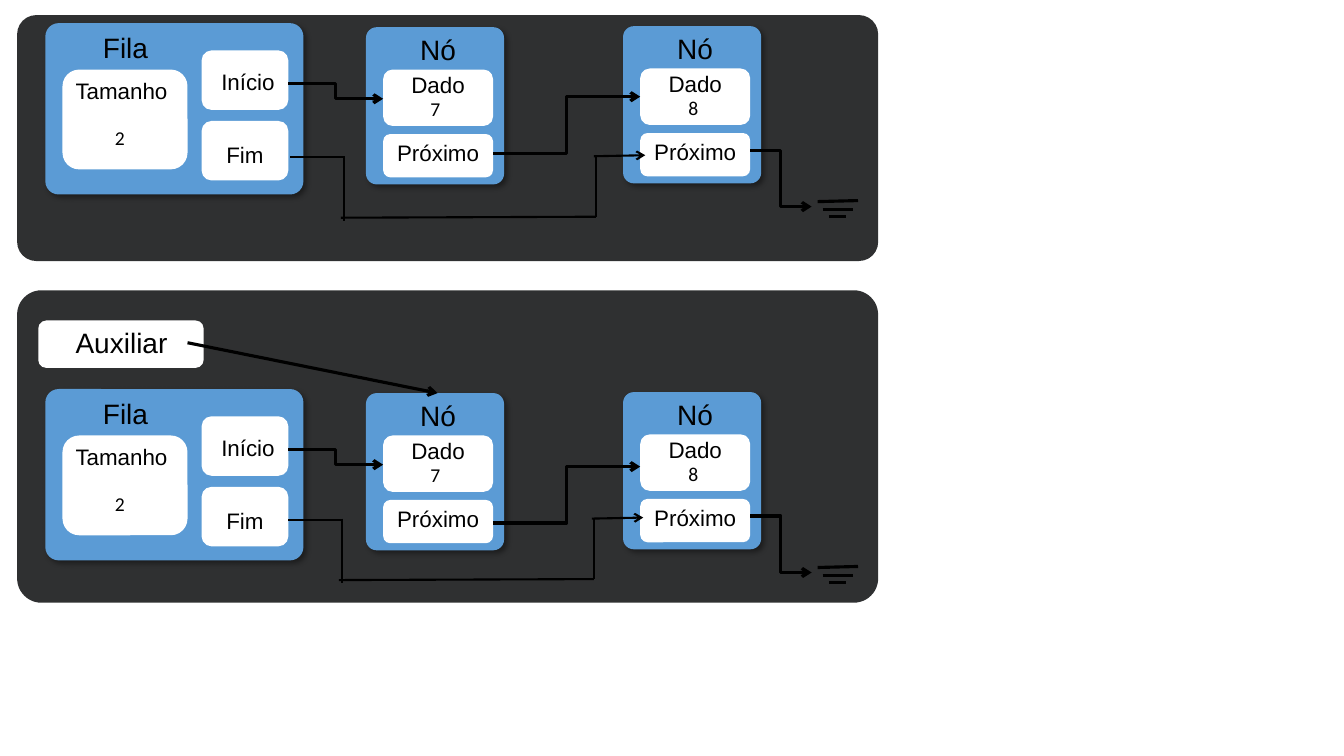
"""Build a slide showing a linked queue before and after an auxiliary pointer is set."""
from lxml import etree
from pptx import Presentation
from pptx import util as u
from pptx.dml.color import RGBColor
from pptx.enum import shapes, text
from pptx.oxml.ns import qn

COLUMNS, ROWS = 1333, 750
CELL = u.Inches(0.01)
DARK = RGBColor(0x2F, 0x30, 0x31)
BLUE = RGBColor(0x5B, 0x9B, 0xD5)
WHITE = RGBColor(0xFF, 0xFF, 0xFF)
BLACK = RGBColor(0, 0, 0)
SOFT_CORNER, ROUND_CORNER = 0.078, 0.16667
TITLE, LABEL, VALUE = ("Arial", 20), ("Arial", 16), ("Calibri", 14)

PANELS = [(17, 288, 854, 310), (17, 15, 854, 244)]

QUEUE = {
    "size": (256, 170),
    "fields": [(17, 46, 124, 99), (155, 27, 86, 59), (155, 97, 86, 59)],
    "labels": [("Fila", 42, 2, 75, 44, TITLE), ("Tamanho", 17, 49, 117, 37, LABEL),
               ("Início", 161, 40, 80, 37, LABEL), ("Fim", 158, 112, 80, 37, LABEL)],
}
NODE = {
    "size": (137, 156),
    "fields": [(17, 42, 109, 56), (17, 106, 109, 43)],
    "labels": [("Nó", 40, 0, 63, 44, TITLE), ("Dado", 27, 39, 89, 37, LABEL),
               ("Próximo", 17, 106, 109, 37, LABEL)],
}
RECORDS = [(QUEUE, 45, 23), (NODE, 363, 27), (NODE, 618, 26)]
VALUES = [("2", 104, 120), ("7", 417, 91), ("8", 673, 90)]
GROUND = [(811, 200, 851, 199), (816, 208, 846, 208), (822, 215, 839, 215)]
START_LINK = (286, 83, 380, 98)
NULL_LINK = (744, 149, 805, 205)
NEXT_LINK = (489, 152, 635, 96)
END_LINK = [(288, 156, 341, 156), (341, 155, 341, 219), (338, 216, 591, 215),
            (591, 215, 591, 154), (589, 155, 640, 154)]

STATES = [
    {"row": 0, "next_row": 0, "end_shift": (0, 0)},
    {"row": 363, "next_row": 367, "end_shift": (-2, 359.5)},
]
AUXILIARY_FIELD = (38, 318, 164, 47)
AUXILIARY_LABEL = ("Auxiliar", 55, 318, 131, 44, TITLE)
AUXILIARY_LINK = (186, 340, 434, 390)


def cells(*values):
    return [int(value * CELL) for value in values]


def add_block(target, bounds, color, corner=ROUND_CORNER, shadowed=False):
    block = target.add_shape(shapes.MSO_SHAPE.ROUNDED_RECTANGLE, *cells(*bounds))
    block.adjustments[0] = corner
    block.fill.solid()
    block.fill.fore_color.rgb = color
    block.line.fill.background()
    block.shadow.inherit = False
    if shadowed:
        effects = block.element.spPr.find(qn("a:effectLst"))
        shadow = etree.SubElement(effects, qn("a:outerShdw"), blurRad=str(u.Pt(4)),
                                  dist=str(u.Pt(3)), dir="2700000", algn="tl", rotWithShape="0")
        tint = etree.SubElement(shadow, qn("a:srgbClr"), val=str(BLACK))
        etree.SubElement(tint, qn("a:alpha"), val="40000")


def add_label(target, words, left, top, width, height, style,
              align=text.PP_ALIGN.CENTER):
    box = target.add_textbox(*cells(left, top, width, height))
    frame = box.text_frame
    frame.word_wrap = True
    frame.auto_size = text.MSO_AUTO_SIZE.SHAPE_TO_FIT_TEXT
    para = frame.paragraphs[0]
    para.alignment = align
    span = para.add_run()
    span.text = words
    span.font.name, size = style
    span.font.size = u.Pt(size)
    span.font.color.rgb = BLACK


def add_link(target, ends, shift=(0, 0), weight=2.25, arrow=False, bent=False):
    kind = shapes.MSO_CONNECTOR.ELBOW if bent else shapes.MSO_CONNECTOR.STRAIGHT
    across, down = shift
    left, top, right, bottom = ends
    link = target.add_connector(
        kind, *cells(left + across, top + down, right + across, bottom + down))
    link.line.color.rgb = BLACK
    link.line.width = u.Pt(weight)
    properties = link.element.spPr
    if arrow:
        etree.SubElement(properties.find(qn("a:ln")), qn("a:tailEnd"), type="arrow")
    etree.SubElement(properties, qn("a:effectLst"))


def add_record(page, record, left, top):
    group = page.shapes.add_group_shape().shapes
    add_block(group, (left, top, *record["size"]), BLUE, SOFT_CORNER, shadowed=True)
    for across, down, width, height in record["fields"]:
        add_block(group, (left + across, top + down, width, height), WHITE)
    for words, across, down, width, height, style in record["labels"]:
        add_label(group, words, left + across, top + down, width, height, style)


def add_state(page, row, next_row, end_shift):
    for record, left, top in RECORDS:
        add_record(page, record, left, top + row)
    for words, left, top in VALUES:
        add_label(page.shapes, words, left, top + row, 34, 34, VALUE, text.PP_ALIGN.LEFT)
    ground = page.shapes.add_group_shape().shapes
    for ends in GROUND:
        add_link(ground, ends, (0, row))
    for ends, down in ((START_LINK, row), (NULL_LINK, row), (NEXT_LINK, next_row)):
        add_link(page.shapes, ends, (0, down), arrow=True, bent=True)
    route = page.shapes.add_group_shape().shapes
    for ends in END_LINK:
        add_link(route, ends, end_shift, 1.5, arrow=ends == END_LINK[-1])


def main():
    deck = Presentation()
    deck.slide_width, deck.slide_height = cells(COLUMNS, ROWS)
    page = deck.slides.add_slide(deck.slide_layouts[6])
    for bounds in PANELS:
        add_block(page.shapes, bounds, DARK, SOFT_CORNER)
    for state in STATES:
        add_state(page, **state)
    add_block(page.shapes, AUXILIARY_FIELD, WHITE)
    add_label(page.shapes, *AUXILIARY_LABEL)
    add_link(page.shapes, AUXILIARY_LINK, arrow=True)
    deck.save("out.pptx")


if __name__ == "__main__":
    main()
